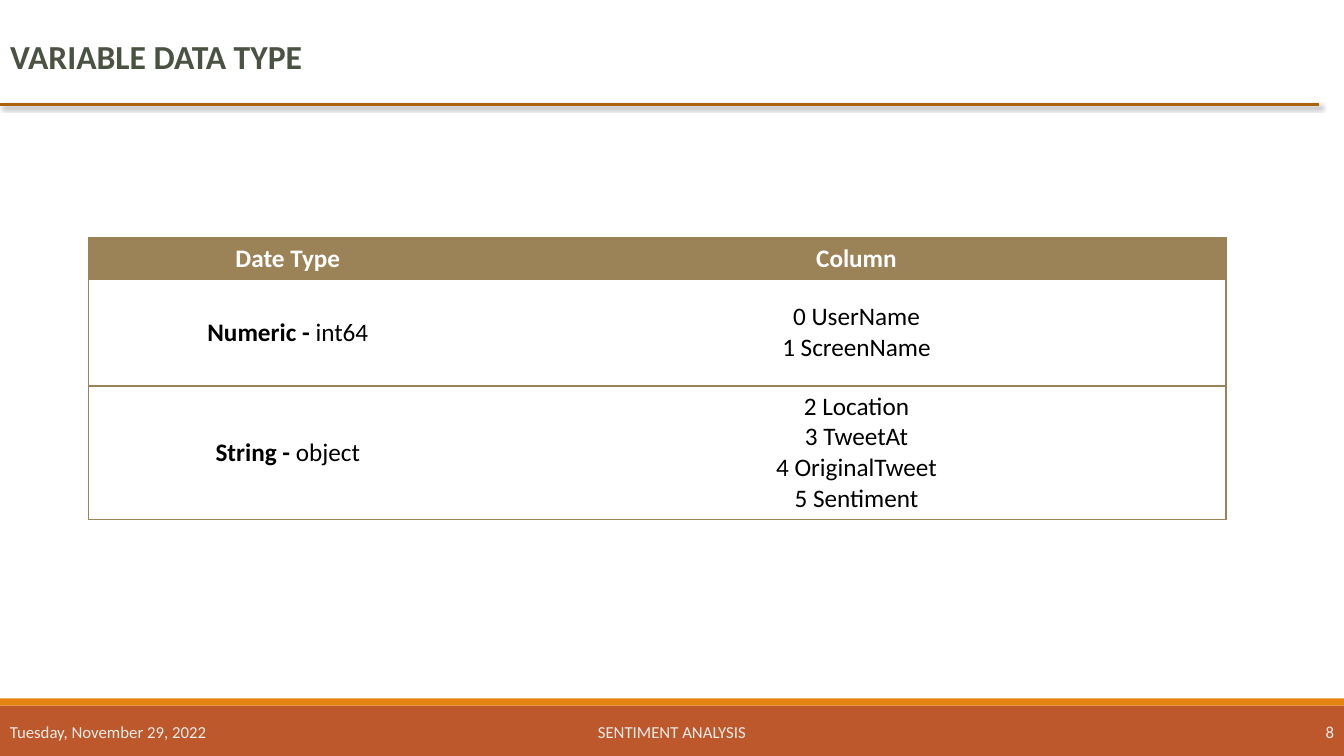
"""Builds the variable data type slide with its table, header rule and footer."""
from lxml import etree
from pptx import Presentation
from pptx.dml.color import RGBColor
from pptx.enum.shapes import MSO_CONNECTOR, MSO_SHAPE
from pptx.enum.text import MSO_ANCHOR, PP_ALIGN
from pptx.oxml import parse_xml
from pptx.oxml.ns import nsdecls, qn
from pptx.util import Inches, Pt

LEFT, CENTER, RIGHT = PP_ALIGN.LEFT, PP_ALIGN.CENTER, PP_ALIGN.RIGHT
MIDDLE = MSO_ANCHOR.MIDDLE
FONT = "Calibri"
COLORS = {"title": "4A5242", "rule": "AB620D", "band": "BD582C", "stripe": "E48312",
          "footer": "EAECE7", "table": "9B8357", "white": "FFFFFF", "text": "000000"}

TITLE = "VARIABLE DATA TYPE"
HEADER = ["Date Type", "Column"]
ROWS = [
    ("Numeric - ", "int64", ["0 UserName", "1 ScreenName"]),
    ("String - ", "object", ["2 Location", "3 TweetAt", "4 OriginalTweet", "5 Sentiment"]),
]
FOOTER = [
    ("Tuesday, November 29, 2022", 0, 2.7, LEFT),
    ("SENTIMENT ANALYSIS", 4.03, 5.27, CENTER),
    ("8", 11.9, 1.43, RIGHT),
]
WIDTH, HEIGHT = 13.33, 7.5
BAND_TOP, STRIPE = 7, 0.07
RULE_Y, RULE_END = 1.04, 13.08
TABLE_LEFT, TABLE_TOP = 0.88, 2.36
COL_WIDTHS = [3.95, 7.33]
ROW_HEIGHTS = [0.41, 1.06, 1.31]
NO_STYLE = "{2D5ABB26-0587-4C30-8999-92F81FD0307C}"


def rgb(name):
    return RGBColor.from_string(COLORS[name])


def box(*lengths):
    return [Inches(v) for v in lengths]


def style(p, size, color, bold=False, align=LEFT):
    p.alignment = align
    p.font.name, p.font.size, p.font.bold = FONT, Pt(size), bold
    p.font.color.rgb = rgb(color)


def add_bar(s, top, height, color):
    sp = s.shapes.add_shape(MSO_SHAPE.RECTANGLE, *box(0, top, WIDTH, height))
    sp.shadow.inherit = False
    sp.fill.solid()
    sp.fill.fore_color.rgb = rgb(color)
    sp.line.fill.background()


def add_rule(s):
    ln = s.shapes.add_connector(MSO_CONNECTOR.STRAIGHT, *box(0, RULE_Y, RULE_END, RULE_Y))
    ln.line.color.rgb, ln.line.width = rgb("rule"), Pt(2)
    ln._element.spPr.append(parse_xml(
        f'<a:effectLst {nsdecls("a")}><a:outerShdw blurRad="38100" dist="25400" dir="2700000">'
        '<a:srgbClr val="000000"><a:alpha val="60000"/></a:srgbClr></a:outerShdw></a:effectLst>'))


def set_borders(cell, sides):
    tcPr = cell._tc.get_or_add_tcPr()
    for i, side in enumerate(sides):
        tcPr.insert(i, parse_xml(
            f'<a:ln{side} {nsdecls("a")} w="12700"><a:solidFill>'
            f'<a:srgbClr val="{COLORS["table"]}"/></a:solidFill></a:ln{side}>'))


def fill_cell(cell, lines, color, bold=False):
    tf = cell.text_frame
    for i, runs in enumerate(lines):
        p = tf.paragraphs[0] if i == 0 else tf.add_paragraph()
        style(p, 18, color, bold, CENTER)
        for text, run_bold in runs:
            r = p.add_run()
            r.text, r.font.bold = text, run_bold


def add_table(s):
    frame = s.shapes.add_table(len(ROW_HEIGHTS), len(COL_WIDTHS), *box(
        TABLE_LEFT, TABLE_TOP, sum(COL_WIDTHS), sum(ROW_HEIGHTS)))
    table = frame.table
    table.horz_banding = False
    etree.SubElement(table._tbl.tblPr, qn("a:tableStyleId"))
    ids = table._tbl.tblPr.findall(qn("a:tableStyleId"))
    ids[0].text = NO_STYLE
    for extra in ids[1:]:
        table._tbl.tblPr.remove(extra)
    for col, width in zip(table.columns, COL_WIDTHS):
        col.width = Inches(width)
    for row, height in zip(table.rows, ROW_HEIGHTS):
        row.height = Inches(height)

    content = [[[[(name, True)]] for name in HEADER]]
    content += [[[[(kind, True), (dtype, False)]], [[(name, False)] for name in names]]
                for kind, dtype, names in ROWS]
    for i, cells in enumerate(content):
        for j, lines in enumerate(cells):
            cell = table.cell(i, j)
            cell.vertical_anchor = MIDDLE
            cell.fill.solid()
            cell.fill.fore_color.rgb = rgb("white" if i else "table")
            fill_cell(cell, lines, "text" if i else "white", i == 0)
            set_borders(cell, ("R" if j else "L", "T", "B"))


def main():
    prs = Presentation()
    prs.slide_width, prs.slide_height = box(WIDTH, HEIGHT)
    s = prs.slides.add_slide(prs.slide_layouts[5])
    add_bar(s, BAND_TOP, HEIGHT - BAND_TOP, "band")
    add_bar(s, BAND_TOP - STRIPE, STRIPE, "stripe")
    add_rule(s)
    add_table(s)
    for text, left, width, align in FOOTER:
        tf = s.shapes.add_textbox(*box(left, 7.06, width, 0.4)).text_frame
        tf.word_wrap, tf.vertical_anchor = True, MIDDLE
        tf.text = text
        style(tf.paragraphs[0], 12, "footer", align=align)
    title = s.shapes.title
    title.left, title.top, title.width, title.height = box(0, 0.31, 4.49, 0.5)
    title.text_frame.text = TITLE
    title.text_frame.vertical_anchor = MIDDLE
    style(title.text_frame.paragraphs[0], 24, "title", True)
    prs.save("out.pptx")


if __name__ == "__main__":
    main()
